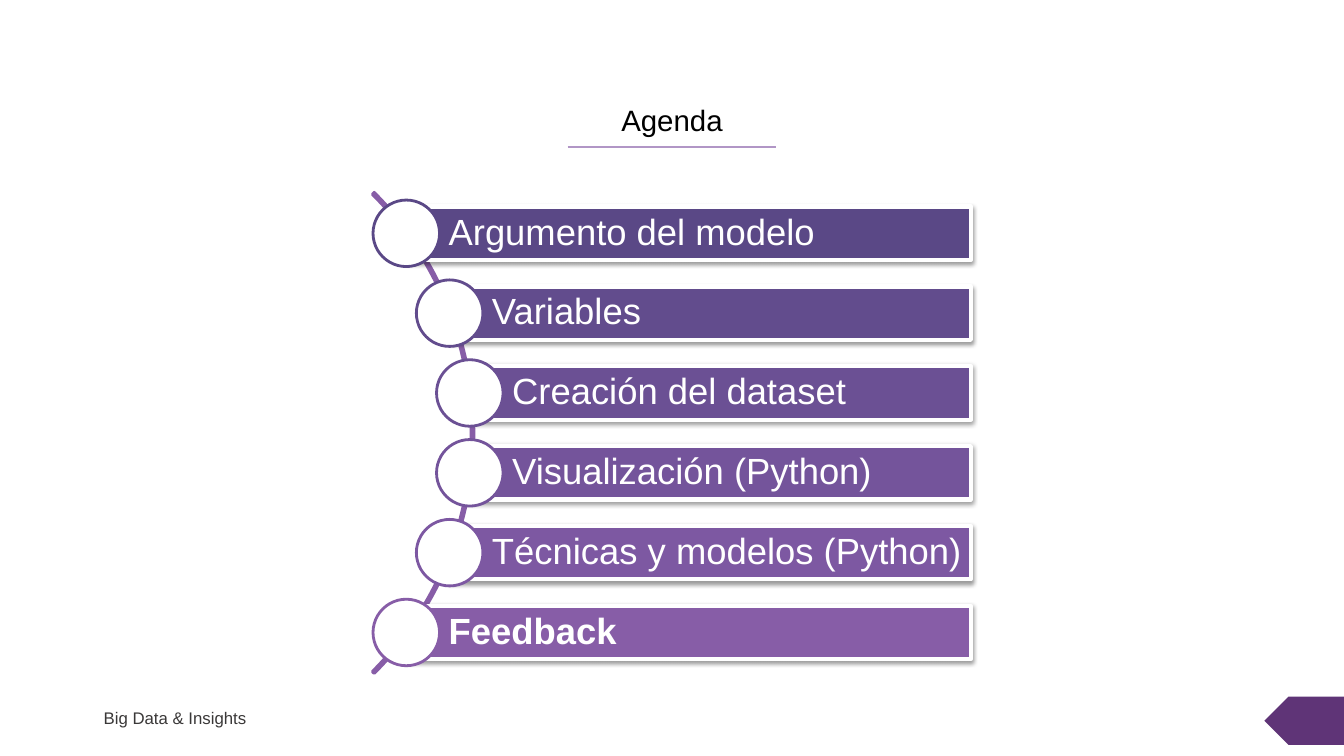
from lxml import etree
from pptx import Presentation
from pptx.dml.color import RGBColor
from pptx.enum.shapes import MSO_CONNECTOR, MSO_SHAPE
from pptx.enum.text import MSO_ANCHOR, MSO_AUTO_SIZE, PP_ALIGN
from pptx.oxml import parse_xml
from pptx.oxml.ns import nsdecls, qn
from pptx.util import Inches, Pt

STRAIGHT = MSO_CONNECTOR.STRAIGHT
ARC, BAR, CIRCLE, TAG = MSO_SHAPE.BLOCK_ARC, MSO_SHAPE.RECTANGLE, MSO_SHAPE.OVAL, MSO_SHAPE.PENTAGON
TOP, MIDDLE = MSO_ANCHOR.TOP, MSO_ANCHOR.MIDDLE
LEFT, CENTER = PP_ALIGN.LEFT, PP_ALIGN.CENTER

WHITE = RGBColor(0xFF, 0xFF, 0xFF)
BLACK = RGBColor(0x00, 0x00, 0x00)
GRAY = RGBColor(0x3A, 0x38, 0x38)
PLUM = RGBColor(0x5F, 0x34, 0x77)
LILAC = RGBColor(0xB1, 0x96, 0xC6)
VIOLET = RGBColor(0x87, 0x5D, 0xA7)

TOPICS = [
    ("Argumento del modelo", 4.03, RGBColor(0x5A, 0x48, 0x86)),
    ("Variables", 4.46, RGBColor(0x62, 0x4C, 0x8D)),
    ("Creación del dataset", 4.66, RGBColor(0x6B, 0x50, 0x94)),
    ("Visualización (Python)", 4.66, RGBColor(0x74, 0x54, 0x9B)),
    ("Técnicas y modelos (Python)", 4.46, RGBColor(0x7D, 0x58, 0xA2)),
    ("Feedback", 4.03, VIOLET),
]
FIRST_TOP, LAST_TOP = 2.05, 6.01
BAR_RIGHT, BAR_HEIGHT, DIAMETER = 9.63, 0.53, 0.66
PITCH = (LAST_TOP - FIRST_TOP) / (len(TOPICS) - 1)

SHADOW = (
    f'<a:outerShdw {nsdecls("a")} blurRad="40000" dist="20000" dir="5400000" rotWithShape="0">'
    '<a:srgbClr val="000000"><a:alpha val="38000"/></a:srgbClr></a:outerShdw>'
)


def add_figure(kind, left, top, width, height, fill=None, line=None, line_width=0):
    figure = slide.shapes.add_shape(kind, Inches(left), Inches(top), Inches(width), Inches(height))
    if fill is None:
        figure.fill.background()
    else:
        figure.fill.solid()
        figure.fill.fore_color.rgb = fill
    if line is None:
        figure.line.fill.background()
    else:
        figure.line.color.rgb = line
        figure.line.width = Pt(line_width)
    figure.shadow.inherit = False
    return figure


def write(frame, text, size, color, align=LEFT, bold=False):
    frame.text = text
    paragraph = frame.paragraphs[0]
    paragraph.alignment = align
    paragraph.font.name = "Arial"
    paragraph.font.size = Pt(size)
    paragraph.font.bold = bold
    paragraph.font.color.rgb = color
    return paragraph


deck = Presentation()
deck.slide_width, deck.slide_height = Inches(13.33), Inches(7.5)
slide = deck.slides.add_slide(deck.slide_layouts[5])

page_tag = add_figure(TAG, 12.54, 6.91, 0.8, 0.48, PLUM)
page_tag.rotation = 180

footer = slide.shapes.add_textbox(Inches(0.93), Inches(6.97), Inches(1.63), Inches(0.3))
footer.text_frame.word_wrap = True
write(footer.text_frame, "Big Data & Insights", 12, GRAY)

title = slide.shapes.title
title.left, title.top, title.width, title.height = Inches(6.06), Inches(0.96), Inches(1.21), Inches(0.45)
title.text_frame.word_wrap = False
title.text_frame.auto_size = MSO_AUTO_SIZE.SHAPE_TO_FIT_TEXT
title.text_frame.vertical_anchor = TOP
write(title.text_frame, "Agenda", 21, BLACK, CENTER)

underline = slide.shapes.add_connector(STRAIGHT, Inches(5.63), Inches(1.46), Inches(7.7), Inches(1.46))
underline.line.color.rgb = LILAC
underline.line.width = Pt(1.5)
etree.SubElement(underline._element.spPr, qn("a:effectLst"))

arc = add_figure(ARC, -2.05, 0.92, 6.75, 6.75, line=VIOLET, line_width=2)
for index, value in enumerate((189, 27, 0.004)):
    arc.adjustments[index] = value

for row, (topic, left, color) in enumerate(TOPICS):
    top = FIRST_TOP + row * PITCH
    bar = add_figure(BAR, left, top, BAR_RIGHT - left, BAR_HEIGHT, color, WHITE, 3)
    bar._element.spPr.find(qn("a:effectLst")).append(parse_xml(SHADOW))
    frame = bar.text_frame
    frame.word_wrap = True
    frame.vertical_anchor = MIDDLE
    frame.margin_left = Inches(0.42)
    frame.margin_top = frame.margin_right = frame.margin_bottom = Inches(0.07)
    label = write(frame, topic, 26, WHITE, bold=topic == "Feedback")
    label.line_spacing = 0.9
    circle_top = top + (BAR_HEIGHT - DIAMETER) / 2
    add_figure(CIRCLE, left - DIAMETER / 2, circle_top, DIAMETER, DIAMETER, WHITE, color, 2)

deck.save("out.pptx")
